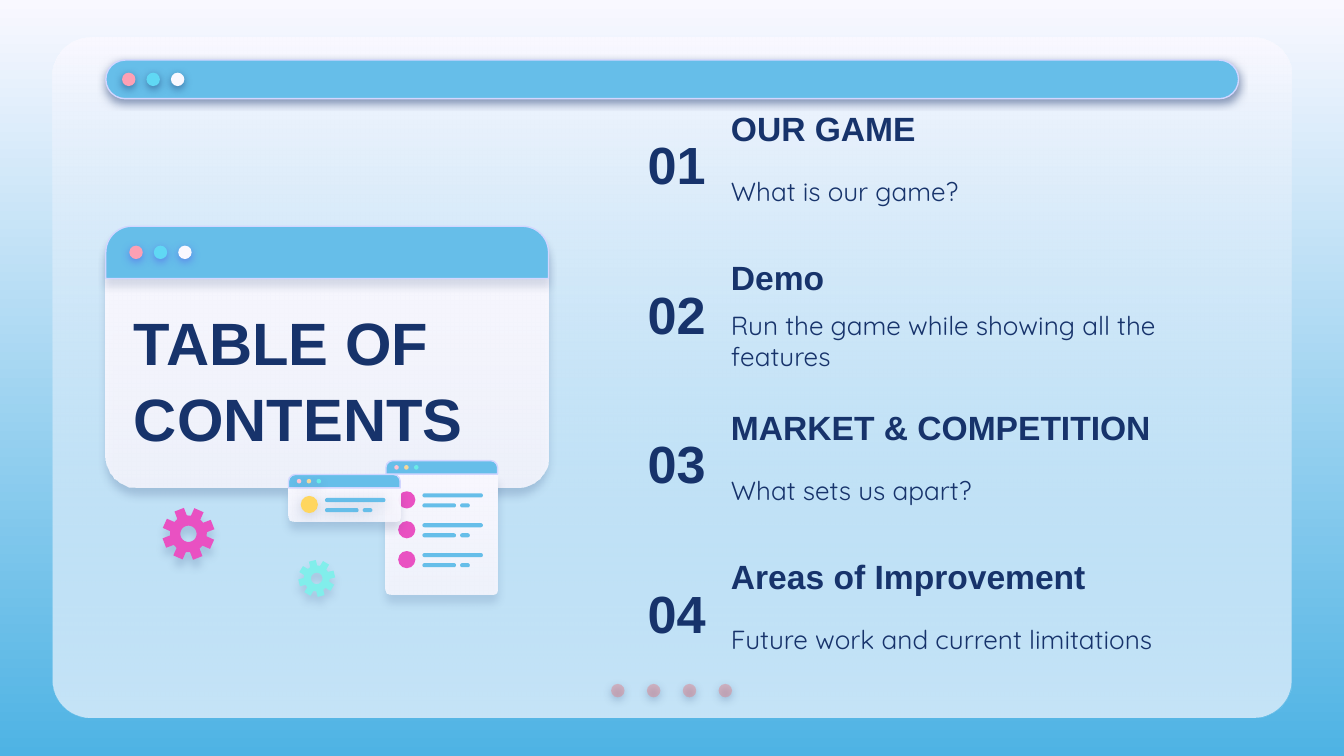
from math import cos, radians, sin

from lxml.etree import SubElement
from pptx import Presentation
from pptx.dml.color import RGBColor
from pptx.enum.shapes import MSO_SHAPE
from pptx.enum.text import MSO_ANCHOR, PP_ALIGN
from pptx.oxml.ns import qn
from pptx.util import Pt

NAVY, BLUE, WHITE = "17336B", "66BEE9", "F9F8FF"
PINK, EDGE = "E951C2", "D2D6FF"
SOFT = (NAVY, 50, 4.5, 1.5)
FROST = (WHITE, WHITE, 87)
LIGHTS = ("FDA0B4", "60D8F4", WHITE)
TINY = ("FFC3D0", "F5D79B", "6AEBE7")
TOPICS = [
    ("OUR GAME", "What is our game?"),
    ("Demo", "Run the game while showing all the features"),
    ("MARKET & COMPETITION", "What sets us apart?"),
    ("Areas of Improvement", "Future work and current limitations"),
]


def color(code):
    return RGBColor.from_string(code)


def fade(node, alpha):
    SubElement(node, qn("a:alpha"), val=str(alpha * 1000))


def blend(fill, top, base):
    """Fill with a gradient that runs downwards."""
    fill.gradient()
    fill.gradient_angle = 270
    for stop, code in zip(fill.gradient_stops, (top, base)):
        stop.color.rgb = color(code)


def paint(shape, fill, alpha=100, edge=None, shadow=None):
    """fill is a hex string or (top, base, base alpha); shadow is (hex, alpha, blur, drop)."""
    if isinstance(fill, str):
        shape.fill.solid()
        shape.fill.fore_color.rgb = color(fill)
    else:
        top, base, alpha = fill
        blend(shape.fill, top, base)
    props = shape._element.spPr
    if alpha < 100:
        fade(list(props.iter(qn("a:srgbClr")))[-1], alpha)
    if edge:
        shape.line.color.rgb = color(edge)
        shape.line.width = Pt(0.75)
    else:
        shape.line.fill.background()
    shape.shadow.inherit = False
    if shadow:
        code, depth, blur, drop = shadow
        outer = SubElement(props.find(qn("a:effectLst")), qn("a:outerShdw"),
                           blurRad=str(Pt(blur)), dist=str(Pt(drop)),
                           dir="5400000", algn="bl", rotWithShape="0")
        fade(SubElement(outer, qn("a:srgbClr"), val=code), depth)


def block(slide, kind, box, fill, adjust=(), **look):
    shape = slide.shapes.add_shape(kind, *map(Pt, box))
    for index, value in enumerate(adjust):
        shape.adjustments[index] = value
    paint(shape, fill, **look)


def dots(slide, left, middle, size, step, fills, **look):
    for index, fill in enumerate(fills):
        box = (left + index * step, middle - size / 2, size, size)
        block(slide, MSO_SHAPE.OVAL, box, fill, **look)


def label(slide, box, text, size, font="Arial", align=PP_ALIGN.LEFT, after=0, spacing=None):
    frame = slide.shapes.add_textbox(*map(Pt, box)).text_frame
    frame.word_wrap = True
    frame.vertical_anchor = MSO_ANCHOR.MIDDLE
    frame.margin_left = frame.margin_right = Pt(7.2)
    frame.margin_top = frame.margin_bottom = Pt(7.2)
    frame.text = text
    line = frame.paragraphs[0]
    line.alignment = align
    line.space_after = Pt(after)
    if spacing:
        line.line_spacing = spacing
    style = line.runs[0].font
    style.name, style.size, style.bold = font, Pt(size), font == "Arial"
    style.color.rgb = color(NAVY)


def panel(slide, box):
    left, top, width, height = box
    for fill in (WHITE, (WHITE, BLUE, 35)):
        block(slide, MSO_SHAPE.ROUNDED_RECTANGLE, box, fill, (0.056,))
    dots(slide, left + 299.2, top + height - 14.6, 7.2, 19.2, ["E27B83"] * 4,
         alpha=44, shadow=SOFT)
    bar = (left + 28.5, top + 12, width - 57, 20.7)
    block(slide, MSO_SHAPE.ROUNDED_RECTANGLE, bar, BLUE, (0.5,), edge=EDGE, shadow=SOFT)
    dots(slide, bar[0] + 8.7, bar[1] + bar[3] / 2, 7.2, 13.1, LIGHTS, shadow=SOFT)


def card(slide, box):
    left, top, width, height = box
    block(slide, MSO_SHAPE.ROUNDED_RECTANGLE, box, FROST, (0.124,),
          shadow=(NAVY, 22, 4.5, 3.8))
    block(slide, MSO_SHAPE.ROUND_2_SAME_RECTANGLE, (left, top, width, 28), BLUE,
          (0.5, 0), edge=EDGE, shadow=(NAVY, 15, 4.5, 3.8))
    dots(slide, left + 12.6, top + 14, 7.2, 13.1, LIGHTS, shadow=("5352EE", 50, 4.5, 1.5))
    label(slide, (left + 8, top + 39.5, width - 13.5, 83.5), "TABLE OF CONTENTS", 32,
          spacing=1.05)


def topic(slide, box, number, title, detail):
    left, top, width, height = box
    text = left + 77.2
    label(slide, (left, top, 77.8, height), number, 28, align=PP_ALIGN.RIGHT)
    label(slide, (text, top, width - 77.2, 28.8), title, 18)
    label(slide, (text, top + 28.8, 266.4, 38.9), detail, 14, "Quicksand", after=12)


def entry(slide, left, top, fill, shadow):
    """Draw a round bullet with three short bars beside it."""
    block(slide, MSO_SHAPE.OVAL, (left, top, 9.2, 9.2), fill, shadow=shadow)
    for across, down, width in ((13, 1.1, 32.4), (13, 6.5, 18), (33.2, 6.5, 5.2)):
        block(slide, MSO_SHAPE.ROUNDED_RECTANGLE, (left + across, top + down, width, 2.2),
              BLUE, (0.5,), shadow=shadow)


def window(slide, box, first, count, fill, shadow, glow=None, haze=None):
    """Draw a small window; first is the drop from its top to the first entry."""
    left, top, width, height = box
    head, curve = 7.2, 3.6
    body = height - head
    block(slide, MSO_SHAPE.ROUND_2_SAME_RECTANGLE, (left, top + head, width, body), FROST,
          (0, curve / min(width, body)), shadow=shadow)
    block(slide, MSO_SHAPE.ROUND_2_SAME_RECTANGLE, (left, top, width, head), BLUE,
          (curve / head, 0), edge=EDGE)
    dots(slide, left + 4.4, top + head / 2, 2.4, 5.3, TINY, shadow=glow)
    for index in range(count):
        entry(slide, left + 6.5, top + first + 16 * index, fill, haze)


def gear(slide, box, turn, fill, shadow):
    """Draw an eight-toothed wheel with a round hole; turn is in degrees."""
    left, top, size = box
    outer = size / 2

    def spot(radius, angle):
        angle = radians(angle)
        return (Pt(left + outer + radius * sin(angle)), Pt(top + outer - radius * cos(angle)))

    teeth = [spot(outer * reach, turn + 45 * index + offset)
             for index in range(8)
             for reach, offset in ((0.7, -16), (1, -11), (1, 11), (0.7, 16))]
    hole = [spot(outer * 0.31, -15 * index) for index in range(24)]
    maker = slide.shapes.build_freeform(*teeth[0])
    maker.add_line_segments(teeth[1:])
    maker.move_to(*hole[0])
    maker.add_line_segments(hole[1:])
    paint(maker.convert_to_shape(), fill, shadow=shadow)


def main():
    deck = Presentation()
    deck.slide_width, deck.slide_height = Pt(720), Pt(405)
    slide = deck.slides.add_slide(deck.slide_layouts[6])
    blend(slide.background.fill, WHITE, "4EB3E4")
    panel(slide, (28.2, 20.2, 663.8, 364.4))
    card(slide, (56.7, 121.2, 237.2, 140))
    for index, (title, detail) in enumerate(TOPICS):
        topic(slide, (307.3, 54 + 80.1 * index, 352.2, 67.8), f"{index + 1:02}", title, detail)
    window(slide, (206.8, 246.8, 59.8, 71.8), 16.4, 3, PINK, (NAVY, 15, 4.5, 4.5))
    window(slide, (154.6, 254.2, 59.8, 25.2), 11.5, 1, "FFD65F", (NAVY, 16, 4.5, 4.5),
           (NAVY, 17, 4.5, 2.2), (NAVY, 18, 6.8, 1.5))
    gear(slide, (86.9, 271.9, 28.2), -21, PINK, (NAVY, 16, 4.5, 4.5))
    gear(slide, (159.8, 300, 19.8), -14, "81EEEB", (NAVY, 15, 4.5, 3.8))
    deck.save("out.pptx")


if __name__ == "__main__":
    main()
